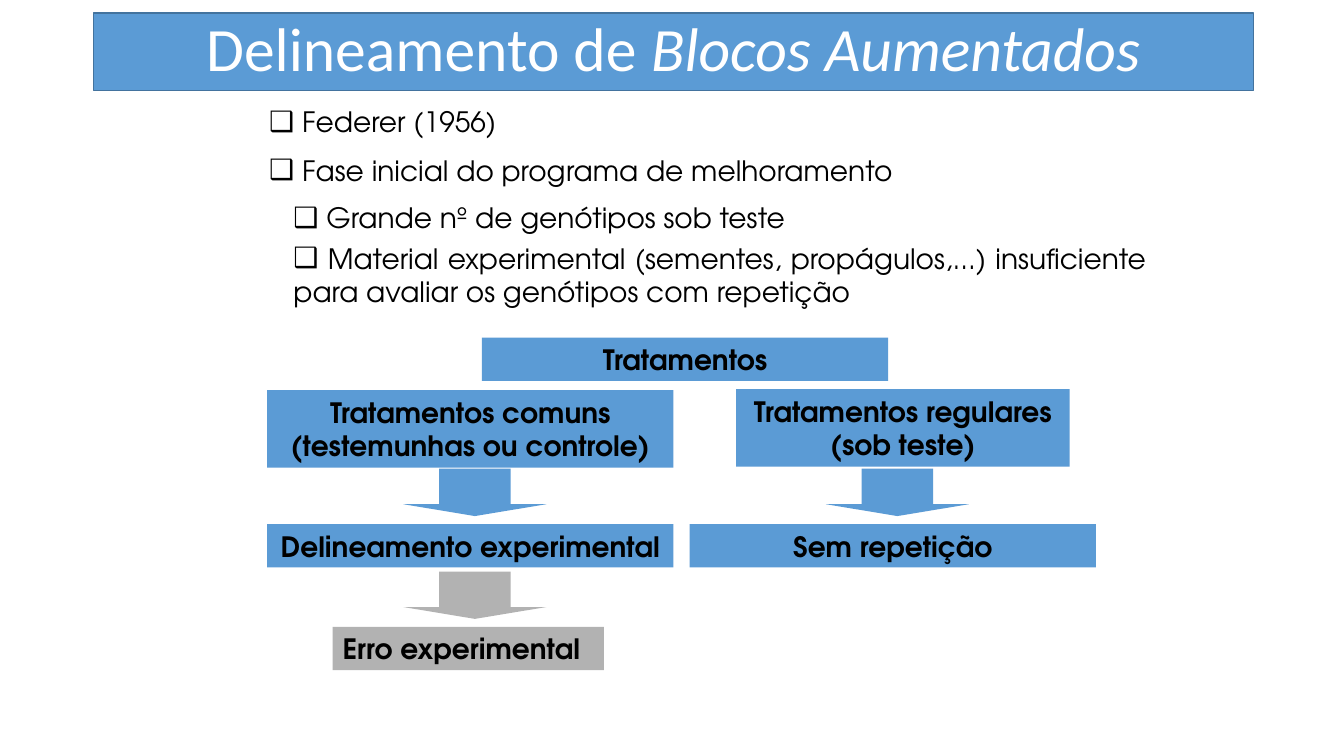
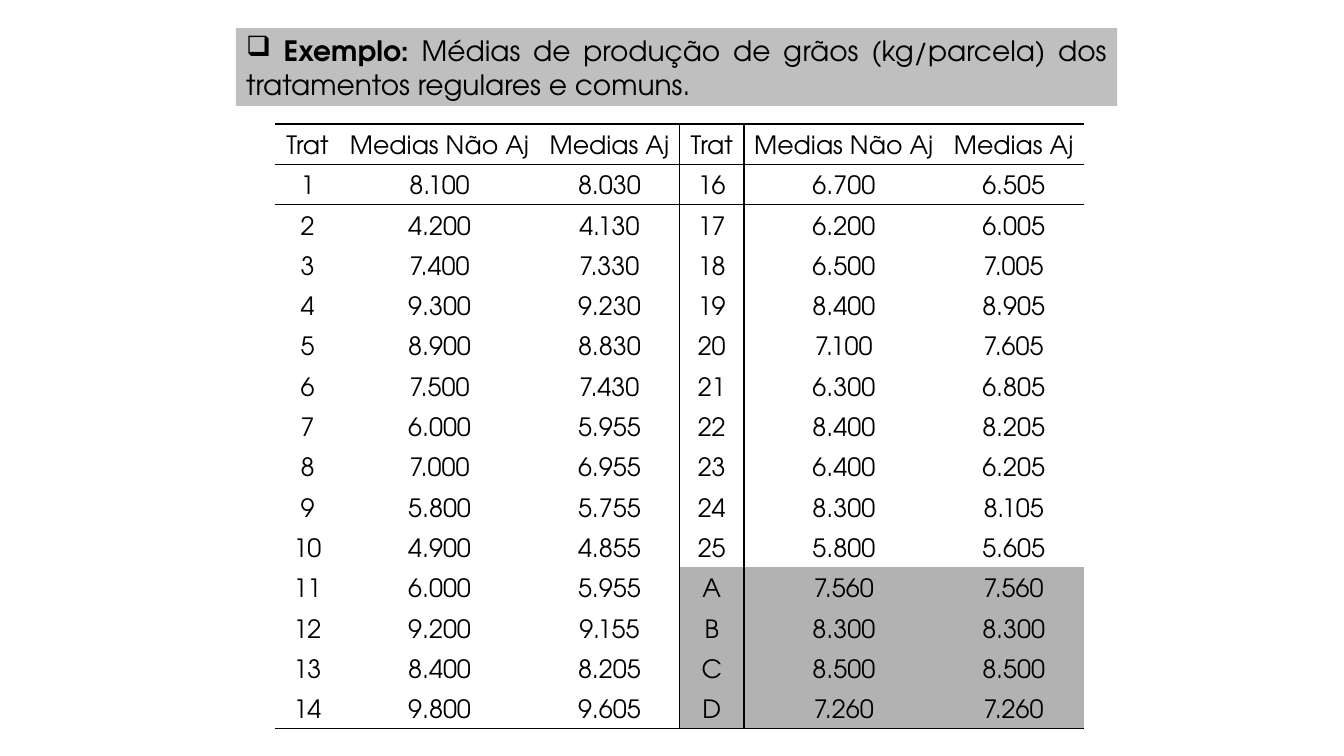
from dataclasses import dataclass

import pptx
import pptx.dml.color
import pptx.enum.shapes
import pptx.enum.text
import pptx.oxml
import pptx.oxml.ns
import pptx.util
from pptx.util import Inches

RGBColor = pptx.dml.color.RGBColor
BLACK = RGBColor(0x00, 0x00, 0x00)
WHITE = RGBColor(0xFF, 0xFF, 0xFF)
BLUE = RGBColor(0x5B, 0x9B, 0xD5)
DARK_BLUE = RGBColor(0x43, 0x73, 0x9E)
GRAY = RGBColor(0xB2, 0xB2, 0xB2)
LIGHT_GRAY = RGBColor(0xBF, 0xBF, 0xBF)

BODY_FONT = "TeX Gyre Adventor"
TITLE_FONT = "Calibri"
BULLET = "❑"
NO_TABLE_STYLE = "{2D5ABB26-0587-4C30-8999-92F81FD0307C}"

Align = pptx.enum.text.PP_ALIGN
Anchor = pptx.enum.text.MSO_ANCHOR
Preset = pptx.enum.shapes.MSO_SHAPE


@dataclass
class FlowBox:
    lines: list[str]
    left: float
    top: float
    width: float = 4.03
    height: float = 0.43
    color: RGBColor = BLUE
    align: Align = Align.CENTER


@dataclass
class FlowArrow:
    left: float
    top: float
    color: RGBColor = BLUE


@dataclass
class ListItem:
    text: str
    level: int
    space_before: float


FLOW_BOXES = [
    FlowBox(["Tratamentos"], 4.78, 3.35),
    FlowBox(["Tratamentos comuns (testemunhas ou controle)"], 2.65, 3.87, height=0.77),
    FlowBox(["Tratamentos regulares", "(sob teste)"], 7.3, 3.86, 3.31, 0.77),
    FlowBox(["Delineamento experimental"], 2.65, 5.2),
    FlowBox(["Sem repetição"], 6.84, 5.2),
    FlowBox(["Erro experimental"], 3.3, 6.22, 2.69, color=GRAY, align=Align.JUSTIFY),
]
FLOW_ARROWS = [FlowArrow(4, 4.65), FlowArrow(8.19, 4.65), FlowArrow(4, 5.67, GRAY)]

LIST_ITEMS = [
    ListItem(" Federer (1956)", 0, 0),
    ListItem(" Fase inicial do programa de melhoramento", 0, 10.5),
    ListItem(" Grande nº de genótipos sob teste", 1, 10),
    ListItem(
        " Material experimental (sementes, propágulos,...) insuficiente "
        "para avaliar os genótipos com repetição", 1, 5),
]

HEADERS = ["Trat", "Medias Não Aj", "Medias Aj"]
COLUMN_WIDTHS = [0.64, 1.98, 1.39]
REGULAR_MEANS = [
    ("1", "8.100", "8.030"), ("2", "4.200", "4.130"), ("3", "7.400", "7.330"),
    ("4", "9.300", "9.230"), ("5", "8.900", "8.830"), ("6", "7.500", "7.430"),
    ("7", "6.000", "5.955"), ("8", "7.000", "6.955"), ("9", "5.800", "5.755"),
    ("10", "4.900", "4.855"), ("11", "6.000", "5.955"), ("12", "9.200", "9.155"),
    ("13", "8.400", "8.205"), ("14", "9.800", "9.605"),
]
OTHER_MEANS = [
    ("16", "6.700", "6.505"), ("17", "6.200", "6.005"), ("18", "6.500", "7.005"),
    ("19", "8.400", "8.905"), ("20", "7.100", "7.605"), ("21", "6.300", "6.805"),
    ("22", "8.400", "8.205"), ("23", "6.400", "6.205"), ("24", "8.300", "8.105"),
    ("25", "5.800", "5.605"), ("A", "7.560", "7.560"), ("B", "8.300", "8.300"),
    ("C", "8.500", "8.500"), ("D", "7.260", "7.260"),
]


def write_text(para, text: str, *, size: float = 20, font: str = BODY_FONT,
               color: RGBColor = BLACK, bold: bool = False, italic: bool = False,
               align: Align = Align.CENTER) -> None:
    """Append one formatted run to a paragraph."""
    para.alignment = align
    span = para.add_run()
    span.text = text
    span.font.size = pptx.util.Pt(size)
    span.font.name = font
    span.font.color.rgb = color
    span.font.bold = bold
    span.font.italic = italic


def set_bullet(para, margin: float = 0) -> None:
    properties = para._p.get_or_add_pPr()
    properties.set("marL", str(Inches(margin)))
    properties.set("indent", "0")
    bullet = pptx.oxml.parse_xml(
        f'<a:buChar {pptx.oxml.ns.nsdecls("a")} char="{BULLET}"/>')
    properties.append(bullet)


def next_paragraph(frame, index: int):
    return frame.paragraphs[0] if index == 0 else frame.add_paragraph()


def place(shape, left: float, top: float, width: float, height: float) -> None:
    shape.left, shape.top = Inches(left), Inches(top)
    shape.width, shape.height = Inches(width), Inches(height)


def prepare_frame(shape, anchor: Anchor = Anchor.MIDDLE):
    frame = shape.text_frame
    frame.word_wrap = True
    frame.auto_size = pptx.enum.text.MSO_AUTO_SIZE.NONE
    frame.vertical_anchor = anchor
    return frame


def fill_shape(shape, color: RGBColor) -> None:
    shape.fill.solid()
    shape.fill.fore_color.rgb = color


def add_plain_shape(slide, preset: Preset, color: RGBColor, left: float, top: float,
                    width: float, height: float):
    shape = slide.shapes.add_shape(
        preset, Inches(left), Inches(top), Inches(width), Inches(height))
    shape.shadow.inherit = False
    fill_shape(shape, color)
    shape.line.fill.background()
    return shape


def draw_box(slide, item: FlowBox) -> None:
    box = add_plain_shape(slide, Preset.RECTANGLE, item.color,
                          item.left, item.top, item.width, item.height)
    frame = prepare_frame(box)
    for index, line in enumerate(item.lines):
        write_text(next_paragraph(frame, index), line, bold=True, align=item.align)


def draw_arrow(slide, item: FlowArrow) -> None:
    arrow = add_plain_shape(slide, Preset.DOWN_ARROW, item.color,
                            item.left, item.top, 1.42, 0.47)
    arrow.adjustments[0] = 0.5
    arrow.adjustments[1] = 0.25


def format_title(slide, color: RGBColor, left: float, top: float, width: float):
    """Turn the title into a filled band and return its first paragraph."""
    title = slide.shapes.title
    place(title, left, top, width, 0.77)
    fill_shape(title, color)
    return prepare_frame(title).paragraphs[0]


def set_borders(cell, sides: str) -> None:
    """Draw black 1 pt lines on the sides named by the letters L, R, T, B."""
    properties = cell._tc.get_or_add_tcPr()
    for side in sides:
        properties.append(pptx.oxml.parse_xml(
            f'<a:ln{side} {pptx.oxml.ns.nsdecls("a")} w="12700"><a:solidFill>'
            f'<a:srgbClr val="{BLACK}"/></a:solidFill></a:ln{side}>'))


def add_means_table(slide) -> None:
    rows = [HEADERS * 2]
    rows += [left + right for left, right in zip(REGULAR_MEANS, OTHER_MEANS)]
    widths = COLUMN_WIDTHS * 2
    half = len(HEADERS)
    last = len(rows) - 1
    row_height = 0.4
    frame = slide.shapes.add_table(
        len(rows), len(widths), Inches(2.73), Inches(1.23),
        Inches(sum(widths)), Inches(row_height * len(rows)))
    table = frame.table
    table.first_row = table.horz_banding = False
    table._tbl.tblPr.find(pptx.oxml.ns.qn("a:tableStyleId")).text = NO_TABLE_STYLE
    for column, width in zip(table.columns, widths):
        column.width = Inches(width)
    for r, values in enumerate(rows):
        table.rows[r].height = Inches(row_height)
        for c, value in enumerate(values):
            cell = table.cell(r, c)
            cell.vertical_anchor = Anchor.BOTTOM
            cell.margin_left = cell.margin_right = Inches(0.05)
            write_text(cell.text_frame.paragraphs[0], value, size=18)
            sides = "L" if c == half else "R" if c == half - 1 else ""
            sides += "T" if r in (0, 1) else ""
            sides += "B" if r in (0, last) else ""
            set_borders(cell, sides)
            if c >= half and rows[r][half] in "ABCD":
                fill_shape(cell, GRAY)
            else:
                cell.fill.background()


def build_design_slide(deck) -> None:
    slide = deck.slides.add_slide(deck.slide_layouts[1])
    para = format_title(slide, BLUE, 0.93, 0.13, 11.5)
    slide.shapes.title.line.color.rgb = DARK_BLUE
    slide.shapes.title.line.width = pptx.util.Pt(1)
    para.line_spacing = 0.9
    write_text(para, "Delineamento de ", size=44, font=TITLE_FONT, color=WHITE)
    write_text(para, "Blocos Aumentados", size=44, font=TITLE_FONT, color=WHITE,
               italic=True)

    body = slide.placeholders[1]
    place(body, 2.57, 0.99, 8.9, 2.12)
    frame = prepare_frame(body, Anchor.TOP)
    for index, item in enumerate(LIST_ITEMS):
        para = next_paragraph(frame, index)
        para.level = item.level
        para.space_before = pptx.util.Pt(item.space_before)
        set_bullet(para, 0.24 * item.level)
        write_text(para, item.text, align=Align.JUSTIFY)

    for box in FLOW_BOXES:
        draw_box(slide, box)
    for arrow in FLOW_ARROWS:
        draw_arrow(slide, arrow)


def build_example_slide(deck) -> None:
    slide = deck.slides.add_slide(deck.slide_layouts[5])
    para = format_title(slide, LIGHT_GRAY, 2.34, 0.28, 8.74)
    set_bullet(para)
    write_text(para, " ", align=Align.JUSTIFY)
    write_text(para, "Exemplo:", bold=True, align=Align.JUSTIFY)
    write_text(para, " Médias de produção de grãos (kg/parcela) dos tratamentos "
               "regulares e comuns.", align=Align.JUSTIFY)
    add_means_table(slide)


def main() -> None:
    deck = pptx.Presentation()
    deck.slide_width, deck.slide_height = Inches(13.33), Inches(7.5)
    build_design_slide(deck)
    build_example_slide(deck)
    deck.save("out.pptx")


if __name__ == "__main__":
    main()
